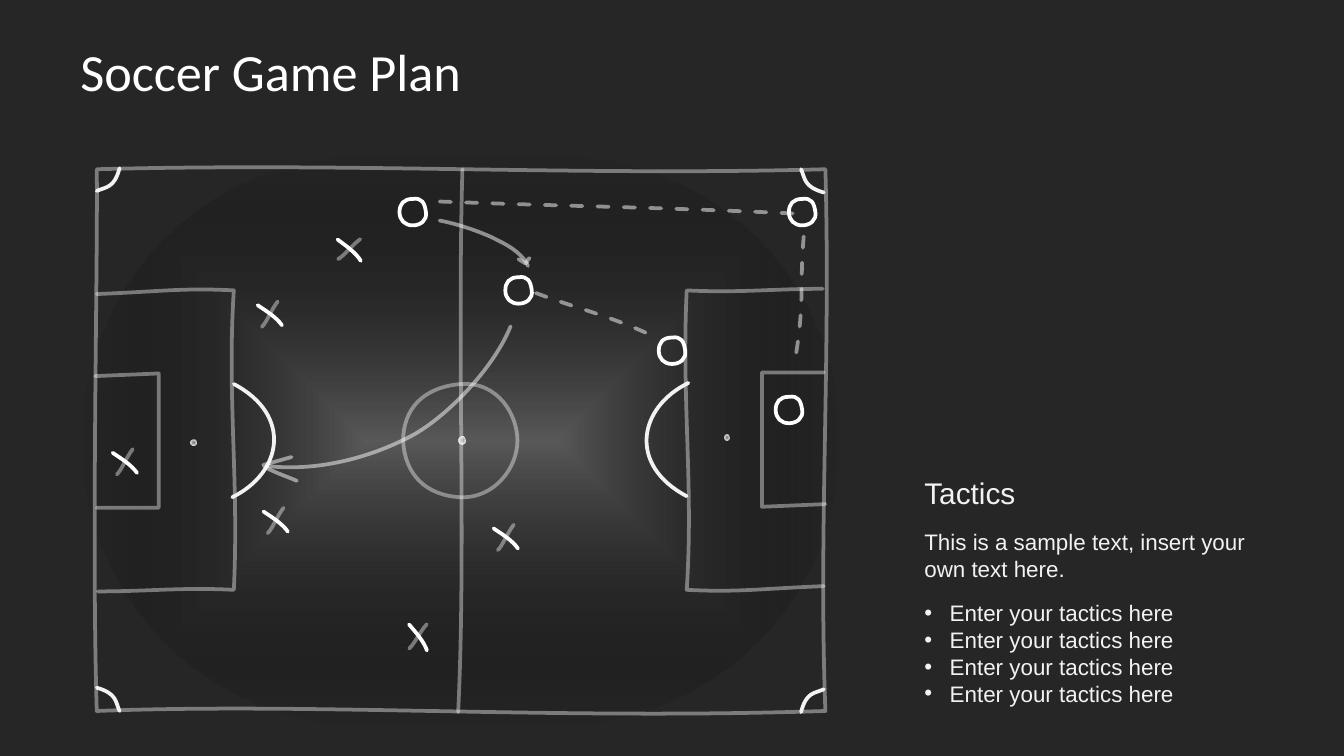
from lxml.etree import SubElement
from pptx import Presentation
from pptx.dml.color import RGBColor
from pptx.enum.dml import MSO_LINE
from pptx.enum.shapes import MSO_SHAPE
from pptx.enum.text import MSO_ANCHOR
from pptx.oxml.ns import qn
from pptx.util import Cm, Pt

BACKGROUND = RGBColor(0x26, 0x26, 0x26)
WHITE = RGBColor(0xFF, 0xFF, 0xFF)
OFF_WHITE = RGBColor(0xF2, 0xF2, 0xF2)
GLOW = RGBColor(0x59, 0x59, 0x59)
BLACK = RGBColor(0, 0, 0)

FAINT = 40  # opacity in percent
MOVE = 50

# A path is a start point followed by line ends (x, y) and cubic curves
# (x1, y1, x2, y2, x, y), in centimetres.
BOUNDARY = [(1.83, 3.2), (6.71, 3.07, 10.87, 3.33, 15.6, 3.2),
            (15.7, 6.88, 15.47, 10.03, 15.6, 13.44),
            (10.44, 13.61, 6.02, 13.28, 1.83, 13.44),
            (1.73, 10.26, 1.85, 5.08, 1.83, 3.2)]
HALFWAY = [(8.74, 3.2), (8.64, 6.71, 8.81, 10.34, 8.66, 13.46)]
CENTRE_CIRCLE = [(9.78, 8.33), (9.78, 7.85, 9.42, 7.21, 8.71, 7.26),
                 (7.98, 7.32, 7.62, 7.75, 7.62, 8.33),
                 (7.65, 8.97, 8.05, 9.37, 8.71, 9.4),
                 (9.35, 9.42, 9.78, 8.84, 9.78, 8.33)]
UPPER_CORNER = [(1.83, 3.61), (2.01, 3.53, 2.16, 3.56, 2.26, 3.18)]
LOWER_CORNER = [(2.26, 13.44), (2.18, 13.26, 2.21, 13.11, 1.83, 13)]
PENALTY_AREA = [(1.83, 5.56), (3.07, 5.51, 3.45, 5.44, 4.42, 5.49),
                (4.29, 7.49, 4.52, 9.09, 4.42, 11.15),
                (3.43, 11.1, 2.82, 11.18, 1.85, 11.18)]
GOAL_AREA = [(1.8, 7.11), (3, 7.06), (3, 9.6), (1.83, 9.6)]
PENALTY_ARC = [(4.42, 7.26), (5.54, 7.85, 5.33, 8.94, 4.39, 9.4)]

# Unit ring and cross strokes, centred on the origin.
RING = [(1, 0), (0.9, -0.7, 0.7, -1.1, 0, -1), (-0.7, -1, -1, -0.6, -1, 0),
        (-1, 0.6, -0.6, 1, 0, 1), (0.6, 1, 1.1, 0.6, 1, 0)]
BRIGHT_STROKE = [(-0.23, -0.18), (-0.08, -0.08, 0.13, 0.05, 0.23, 0.2)]
FAINT_STROKE = [(0.15, -0.25), (0.03, -0.1, -0.05, 0.13, -0.15, 0.23)]

RING_PLAYERS = [(15.16, 4.01), (14.91, 7.75), (7.8, 4.01), (9.8, 5.49), (12.7, 6.63)]
# Centre, then the turn of the bright and of the faint stroke in degrees.
CROSS_PLAYERS = [(6.6, 4.72, 3, 16), (5.1, 5.95, 0, 0), (5.21, 9.85, 0, 0),
                 (2.36, 8.74, 0, 0), (9.56, 10.17, 0, 0), (7.9, 12.04, 16, 4)]
PASSES = [[(8.31, 3.81), (11.05, 3.91, 12.22, 3.91, 15.09, 4.04)],
          [(15.19, 4.47), (15.11, 5.41, 15.21, 5.66, 15.04, 6.73)],
          [(10.13, 5.54), (11.07, 5.89, 11.46, 5.94, 12.45, 6.4)]]
# Each run is a shaft and an arrowhead.
RUNS = [([(9.65, 6.17), (9.32, 6.99, 8.38, 7.95, 7.7, 8.28),
          (6.99, 8.64, 6.02, 8.92, 5.05, 8.81)],
         [(5.51, 8.64), (4.98, 8.79), (4.98, 8.86, 5.51, 9.04, 5.61, 9.09)]),
        ([(8.31, 4.17), (8.69, 4.24, 9.19, 4.42, 9.42, 4.55),
          (9.68, 4.67, 9.91, 4.85, 9.98, 5.03)],
         [(9.8, 4.9), (9.93, 4.98), (9.96, 4.98, 9.98, 4.88, 10.01, 4.88)])]


def placed(path, x, y, scale=1):
    """Scale a path about the origin, then shift it by x and y."""
    return [tuple(value * scale + (y if index % 2 else x)
                  for index, value in enumerate(segment)) for segment in path]


def half_turned(path):
    """Turn a path by 180 degrees about the middle of the pitch."""
    return placed(path, 17.4, 16.64, -1)


def set_opacity(color, percent):
    SubElement(color, qn("a:alpha")).set("val", str(percent * 1000))


def bend_lines(shape, path):
    """Turn each three lines that stand for a cubic curve into that curve."""
    outline = shape._element.find(".//" + qn("a:path"))
    lines = iter(outline.findall(qn("a:lnTo")))
    for segment in path[1:]:
        line = next(lines)
        if len(segment) == 6:
            curve = SubElement(outline, qn("a:cubicBezTo"))
            line.addprevious(curve)
            for control in (line, next(lines), next(lines)):
                curve.append(control[0])
                outline.remove(control)


def add_outline(shapes, path):
    points = [(Cm(x), Cm(y)) for segment in path
              for x, y in zip(segment[::2], segment[1::2])]
    builder = shapes.build_freeform(*points[0], scale=1.0)
    builder.add_line_segments(points[1:], close=path[0] == path[-1][-2:])
    shape = builder.convert_to_shape()
    shape.shadow.inherit = False
    bend_lines(shape, path)
    return shape


def add_stroke(shapes, path, color=WHITE, opacity=100, dashed=False, turn=0):
    stroke = add_outline(shapes, path)
    stroke.fill.background()
    stroke.rotation = turn
    line = stroke.line
    line.color.rgb = color
    line.width = Pt(2)
    if dashed:
        line.dash_style = MSO_LINE.DASH
    outline = stroke._element.spPr.find(qn("a:ln"))
    outline.set("cap", "rnd")
    if opacity < 100:
        set_opacity(outline.find(".//" + qn("a:srgbClr")), opacity)


def fill_from_middle(shape, inner, outer):
    """Fill with a gradient; inner and outer are (colour, opacity) pairs."""
    shape.line.fill.background()
    shape.fill.gradient()
    gradient = shape._element.spPr.find(qn("a:gradFill"))
    for stop, (color, opacity) in zip(shape.fill.gradient_stops, (inner, outer)):
        stop.color.rgb = color
        set_opacity(stop._gs.find(qn("a:srgbClr")), opacity)
    gradient.remove(gradient.find(qn("a:lin")))
    direction = SubElement(gradient, qn("a:path"), path="shape")
    SubElement(direction, qn("a:fillToRect"), l="50000", t="50000", r="50000", b="50000")


def add_spot(shapes, x, y, radius):
    fill_from_middle(add_outline(shapes, placed(RING, x, y, radius)),
                     (WHITE, 30), (WHITE, 100))


def add_glow(shapes):
    glow = shapes.add_shape(MSO_SHAPE.ROUNDED_RECTANGLE, Cm(1.55), Cm(2.95), Cm(14.33), Cm(10.74))
    glow.adjustments[0] = 0.5
    glow.shadow.inherit = False
    fill_from_middle(glow, (GLOW, 100), (BLACK, 0))


def add_pitch(shapes):
    pitch = shapes.add_group_shape().shapes
    for path in (BOUNDARY, HALFWAY, CENTRE_CIRCLE):
        add_stroke(pitch, path, opacity=FAINT)
    for path in (PENALTY_AREA, GOAL_AREA):
        add_stroke(pitch, path, opacity=FAINT)
        add_stroke(pitch, half_turned(path), opacity=FAINT)
    for path in (UPPER_CORNER, LOWER_CORNER, PENALTY_ARC):
        add_stroke(pitch, path, color=OFF_WHITE)
        add_stroke(pitch, half_turned(path), color=OFF_WHITE)
    for x, y, radius in ((3.66, 8.37, 0.05), (13.74, 8.27, 0.05), (8.73, 8.33, 0.07)):
        add_spot(pitch, x, y, radius)


def add_plays(shapes):
    for x, y, bright_turn, faint_turn in CROSS_PLAYERS:
        cross = shapes.add_group_shape().shapes
        add_stroke(cross, placed(BRIGHT_STROKE, x, y), turn=bright_turn)
        add_stroke(cross, placed(FAINT_STROKE, x, y), opacity=FAINT, turn=faint_turn)
    for run in RUNS:
        arrow = shapes.add_group_shape().shapes
        for path in run:
            add_stroke(arrow, path, opacity=MOVE)
    for path in PASSES:
        add_stroke(shapes, path, opacity=MOVE, dashed=True)
    for x, y in RING_PLAYERS:
        add_stroke(shapes, placed(RING, x, y, 0.25))


def add_text(shapes, lines, left, top, width, height, size, font="Arial",
             color=OFF_WHITE, anchor=MSO_ANCHOR.TOP, bulleted=False):
    box = shapes.add_textbox(Cm(left), Cm(top), Cm(width), Cm(height))
    frame = box.text_frame
    frame.word_wrap = True
    frame.vertical_anchor = anchor
    for index, text in enumerate(lines):
        para = frame.paragraphs[0] if index == 0 else frame.add_paragraph()
        if bulleted:
            properties = para._p.get_or_add_pPr()
            properties.set("marL", str(Cm(0.48)))
            properties.set("indent", str(-Cm(0.48)))
            SubElement(properties, qn("a:buFont"), typeface="Arial")
            SubElement(properties, qn("a:buChar"), char="•")
        span = para.add_run()
        span.text = text
        span.font.size = Pt(size)
        span.font.name = font
        span.font.color.rgb = color


def main():
    deck = Presentation()
    deck.slide_width, deck.slide_height = Cm(25.4), Cm(14.29)
    page = deck.slides.add_slide(deck.slide_layouts[6])
    page.background.fill.solid()
    page.background.fill.fore_color.rgb = BACKGROUND
    shapes = page.shapes
    add_glow(shapes)
    add_pitch(shapes)
    add_plays(shapes)
    add_text(shapes, ["Soccer Game Plan"], 1.27, 0.58, 22.86, 1.5, 28,
             font="Calibri", color=WHITE, anchor=MSO_ANCHOR.MIDDLE)
    add_text(shapes, ["Tactics"], 17.22, 8.84, 6.76, 0.94, 16)
    add_text(shapes, ["This is a sample text, insert your own text here."],
             17.22, 9.86, 6.76, 1.27, 12)
    add_text(shapes, ["Enter your tactics here"] * 4, 17.22, 11.2, 6.76, 2.31, 12, bulleted=True)
    deck.save("out.pptx")


if __name__ == "__main__":
    main()
